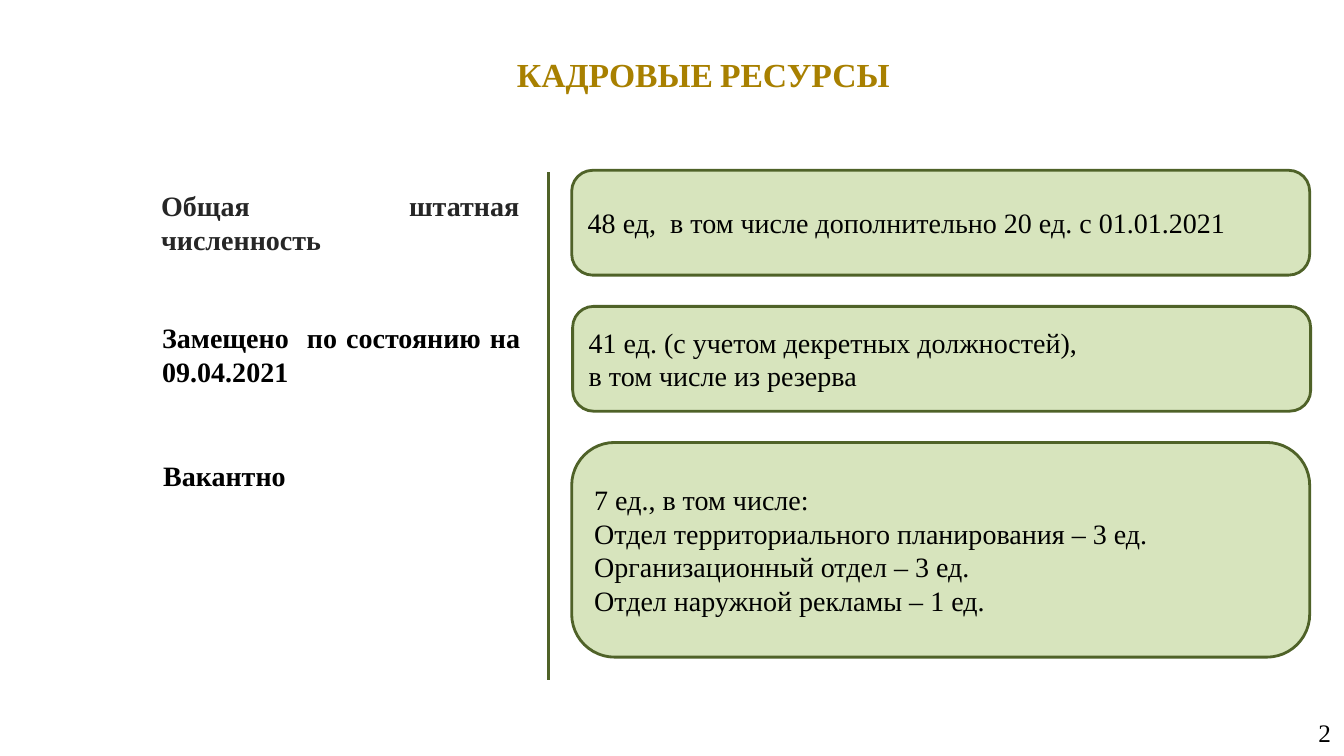
"""Build the staffing slide: unit counts beside their labels."""
import dataclasses
import typing

import lxml.etree
import pptx
import pptx.dml.color
import pptx.enum.shapes
import pptx.enum.text
import pptx.oxml.ns
import pptx.util

RGB = pptx.dml.color.RGBColor
ALIGN = pptx.enum.text.PP_ALIGN
ANCHOR = pptx.enum.text.MSO_ANCHOR
FIT = pptx.enum.text.MSO_AUTO_SIZE
GOLD = RGB(0xA8, 0x80, 0x00)
GREEN = RGB(0x4F, 0x62, 0x28)
PALE = RGB(0xD7, 0xE4, 0xBD)
GRAY = RGB(0x26, 0x26, 0x26)
BLACK = RGB(0, 0, 0)
FACE = "Times New Roman"
WIDE = pptx.util.Inches(13.33)
HIGH = pptx.util.Inches(7.5)
TOP, STEP = 22.53, 18


class Area(typing.NamedTuple):
    """Left, top, width and height in percent of the slide."""
    left: float
    top: float
    width: float
    height: float

    def size(self) -> tuple[int, int, int, int]:
        """Return the area in slide units."""
        return (int(WIDE * self.left / 100), int(HIGH * self.top / 100),
                int(WIDE * self.width / 100), int(HIGH * self.height / 100))


@dataclasses.dataclass
class Row:
    """A label with its panel of counts."""
    label: str
    spot: Area
    color: RGB
    left: float
    height: float
    lines: list[str]


ROWS = [
    Row("Общая штатная численность", Area(11.25, 24.27, 28.13, 10.27), GRAY,
        42.54, 13.87, ["48 ед,  в том числе дополнительно 20 ед. с 01.01.2021"]),
    Row("Замещено  по состоянию на 09.04.2021", Area(11.33, 41.73, 28.13, 10.27),
        BLACK, 42.61, 13.87,
        ["41 ед. (с учетом декретных должностей),", "в том числе из резерва"]),
    Row("Вакантно", Area(11.4, 60, 28.13, 5.87), BLACK, 42.54, 28.4,
        ["7 ед., в том числе:", "Отдел территориального планирования – 3 ед.",
         "Организационный отдел – 3 ед.", "Отдел наружной рекламы – 1 ед."]),
]


def style(para, align: ALIGN, color: RGB, size: float | None = 20,
          bold: bool = False) -> None:
    """Set the alignment and font of a paragraph."""
    para.alignment = align
    font = para.font
    font.name, font.bold, font.color.rgb = FACE, bold, color
    if size:
        font.size = pptx.util.Pt(size)


def pad(frame) -> None:
    """Give a text frame the wider margins."""
    frame.margin_left = frame.margin_right = pptx.util.Inches(0.13)
    frame.margin_top = frame.margin_bottom = pptx.util.Inches(0.07)


def head(slide) -> None:
    """Place and format the title."""
    title = slide.shapes.title
    area = Area(12.38, 6.13, 79.9, 7.2)
    title.left, title.top, title.width, title.height = area.size()
    frame = title.text_frame
    pad(frame)
    frame.word_wrap = True
    frame.auto_size = FIT.SHAPE_TO_FIT_TEXT
    frame.vertical_anchor = ANCHOR.TOP
    para = frame.paragraphs[0]
    style(para, ALIGN.CENTER, GOLD, None, True)
    for text, size in (("КАДРОВЫЕ", 24), (" ", 20), ("РЕСУРСЫ", 24)):
        run = para.add_run()
        run.text = text
        run.font.size = pptx.util.Pt(size)


def note(slide, area: Area, text: str):
    """Add a wrapped text box and return its frame."""
    frame = slide.shapes.add_textbox(*area.size()).text_frame
    frame.word_wrap = True
    frame.text = text
    return frame


def panel(slide, area: Area, lines: list[str]) -> None:
    """Add a rounded panel with one paragraph per line."""
    kind = pptx.enum.shapes.MSO_SHAPE.ROUNDED_RECTANGLE
    shape = slide.shapes.add_shape(kind, *area.size())
    shape.adjustments[0] = 0.2
    shape.shadow.inherit = False
    shape.fill.solid()
    shape.fill.fore_color.rgb = PALE
    shape.line.color.rgb = GREEN
    shape.line.width = pptx.util.Pt(2)
    frame = shape.text_frame
    frame.word_wrap = True
    frame.vertical_anchor = ANCHOR.MIDDLE
    frame.text = "\n".join(lines)
    for para in frame.paragraphs:
        style(para, ALIGN.LEFT, BLACK)


def rule(slide, area: Area) -> None:
    """Draw the upright line between labels and panels."""
    left, top, width, height = area.size()
    kind = pptx.enum.shapes.MSO_CONNECTOR.STRAIGHT
    line = slide.shapes.add_connector(kind, left, top, left + width, top + height)
    line.line.color.rgb = GREEN
    line.line.width = pptx.util.Pt(2)
    lxml.etree.SubElement(line._element.spPr, pptx.oxml.ns.qn("a:effectLst"))


def main() -> None:
    """Build and save the deck."""
    deck = pptx.Presentation()
    deck.slide_width, deck.slide_height = WIDE, HIGH
    slide = deck.slides.add_slide(deck.slide_layouts[5])
    head(slide)
    rule(slide, Area(40.81, 22.8, 0, 67.2))
    for order, row in enumerate(ROWS):
        frame = note(slide, row.spot, row.label)
        frame.auto_size = FIT.SHAPE_TO_FIT_TEXT
        style(frame.paragraphs[0], ALIGN.JUSTIFY, row.color, bold=True)
        panel(slide, Area(row.left, TOP + STEP * order, 54.91, row.height), row.lines)
    frame = note(slide, Area(76.67, 94.27, 23.33, 5.33), "2")
    pad(frame)
    frame.vertical_anchor = ANCHOR.MIDDLE
    style(frame.paragraphs[0], ALIGN.RIGHT, BLACK, 18)
    deck.save("out.pptx")


if __name__ == "__main__":
    main()
